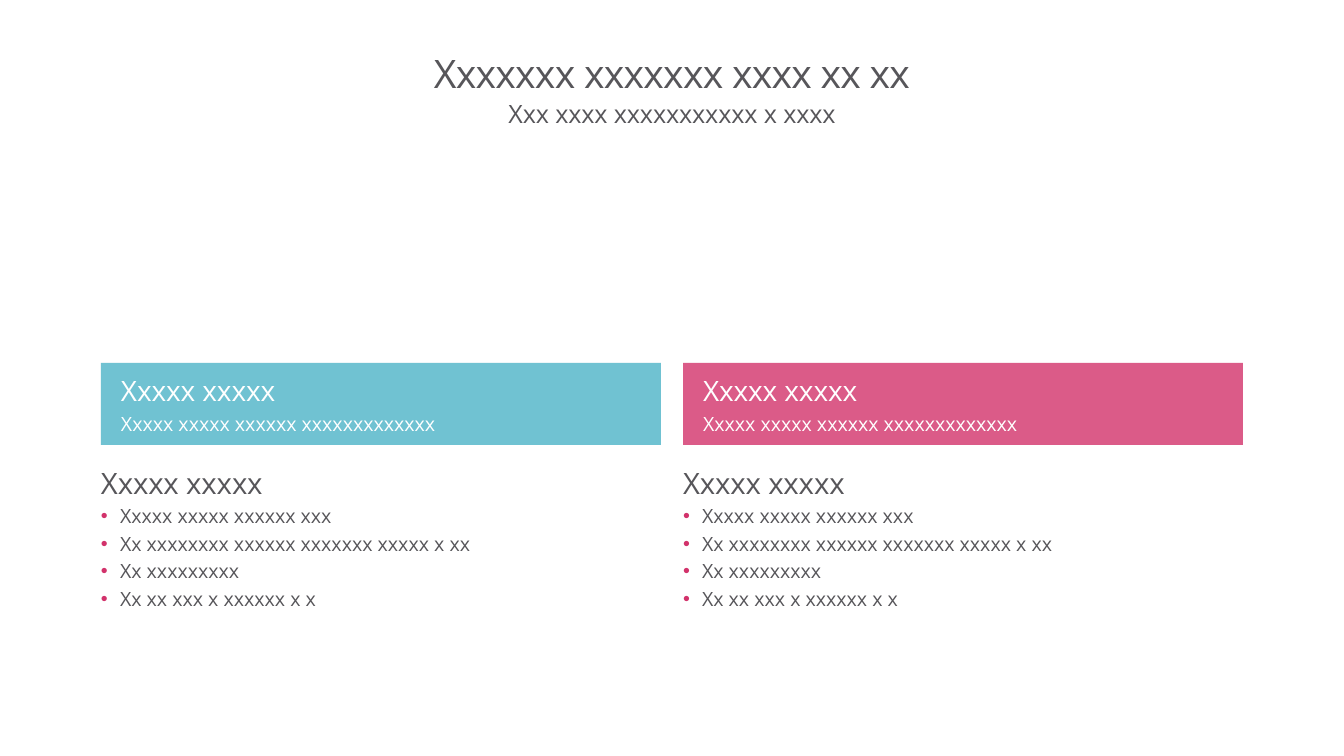
from lxml.etree import SubElement
from pptx import Presentation
from pptx.dml.color import RGBColor
from pptx.enum.text import MSO_ANCHOR, MSO_AUTO_SIZE, PP_ALIGN
from pptx.oxml.ns import qn
from pptx.util import Pt

PX = 914400 / 100.8
COLORS = {"text": "57565A", "white": "FFFFFF", "teal": "4DB3C7", "pink": "D2326B"}
LEFT, COLUMN_WIDTH, GAP = 101, 560, 22
FULL_WIDTH = 2 * COLUMN_WIDTH + GAP
BULLET_INDENT = 19

BANNER_LINES = ["Xxxxx xxxxx", "Xxxxx xxxxx xxxxxx xxxxxxxxxxxxx"]
LIST_LINES = [
    "Xxxxx xxxxx",
    "Xxxxx xxxxx xxxxxx xxx",
    "Xx xxxxxxxx xxxxxx xxxxxxx xxxxx x xx",
    "Xx xxxxxxxxx",
    "Xx xx xxx x xxxxxx x x",
]


def place(shape, left, top, width, height, anchor, inset_x=0, inset_y=0):
    shape.left, shape.top = round(left * PX), round(top * PX)
    shape.width, shape.height = round(width * PX), round(height * PX)
    frame = shape.text_frame
    frame.word_wrap = True
    frame.auto_size = MSO_AUTO_SIZE.NONE
    frame.vertical_anchor = anchor
    frame.margin_left = frame.margin_right = round(inset_x * PX)
    frame.margin_top = frame.margin_bottom = round(inset_y * PX)


def write(shape, lines, sizes, color, spacing, align=PP_ALIGN.LEFT, bullets=False):
    """Fill the shape: a heading line, then second-level lines; spacing is in 1/100 pt."""
    shape.text_frame.text = "\n".join(lines)
    for index, paragraph in enumerate(shape.text_frame.paragraphs):
        properties = paragraph._p.get_or_add_pPr()
        indent = round(BULLET_INDENT * PX) if bullets and index else 0
        properties.set("marL", str(indent))
        properties.set("indent", str(-indent))
        if indent:
            bullet_color = SubElement(properties, qn("a:buClr"))
            SubElement(bullet_color, qn("a:srgbClr"), val=COLORS["pink"])
            SubElement(properties, qn("a:buFont"), typeface="Arial")
            SubElement(properties, qn("a:buChar"), char="•")
        else:
            SubElement(properties, qn("a:buNone"))
        paragraph.alignment = align
        if index:
            paragraph.level = 1
        else:
            paragraph.space_before = Pt(0)
        run = paragraph.runs[0]
        run.font.name = "Open Sans"
        run.font.size = Pt(sizes[min(index, 1)])
        run.font.bold = False
        run.font.color.rgb = RGBColor.from_string(COLORS[color])
        run._r.get_or_add_rPr().set("spc", "0" if index else str(spacing))


presentation = Presentation()
presentation.slide_width = round(1344 * PX)
presentation.slide_height = round(756 * PX)
slide = presentation.slides.add_slide(presentation.slide_layouts.get_by_name("Comparison"))
placeholders = slide.placeholders

title = slide.shapes.title
place(title, LEFT, 31, FULL_WIDTH, 90, MSO_ANCHOR.MIDDLE)
write(title, ["Xxxxxxx xxxxxxx xxxx xx xx"], [28], "text", -50, PP_ALIGN.CENTER)

subtitle = slide.shapes.add_textbox(0, 0, 0, 0)
place(subtitle, LEFT, 103, FULL_WIDTH, 44, MSO_ANCHOR.TOP)
write(subtitle, ["Xxx xxxx xxxxxxxxxxx x xxxx"], [18], "text", -10, PP_ALIGN.CENTER)

for heading in (title, subtitle):
    heading.text_frame.paragraphs[0].line_spacing = 0.86

# Each column: a coloured banner above a bulleted list
for column, color in enumerate(["teal", "pink"]):
    left = LEFT + column * (COLUMN_WIDTH + GAP)

    banner = placeholders[1 + 2 * column]
    place(banner, left, 363, COLUMN_WIDTH, 82, MSO_ANCHOR.BOTTOM, 20, 10)
    banner.fill.solid()
    banner.fill.fore_color.rgb = RGBColor.from_string(COLORS[color])
    fill_color = banner._element.spPr.find(qn("a:solidFill")).find(qn("a:srgbClr"))
    SubElement(fill_color, qn("a:alpha"), val="80000")
    write(banner, BANNER_LINES, [20, 14], "white", -10)

    details = placeholders[2 + 2 * column]
    place(details, left, 465, COLUMN_WIDTH, 187, MSO_ANCHOR.TOP)
    write(details, LIST_LINES, [21, 14], "text", -10, bullets=True)

presentation.save("out.pptx")
